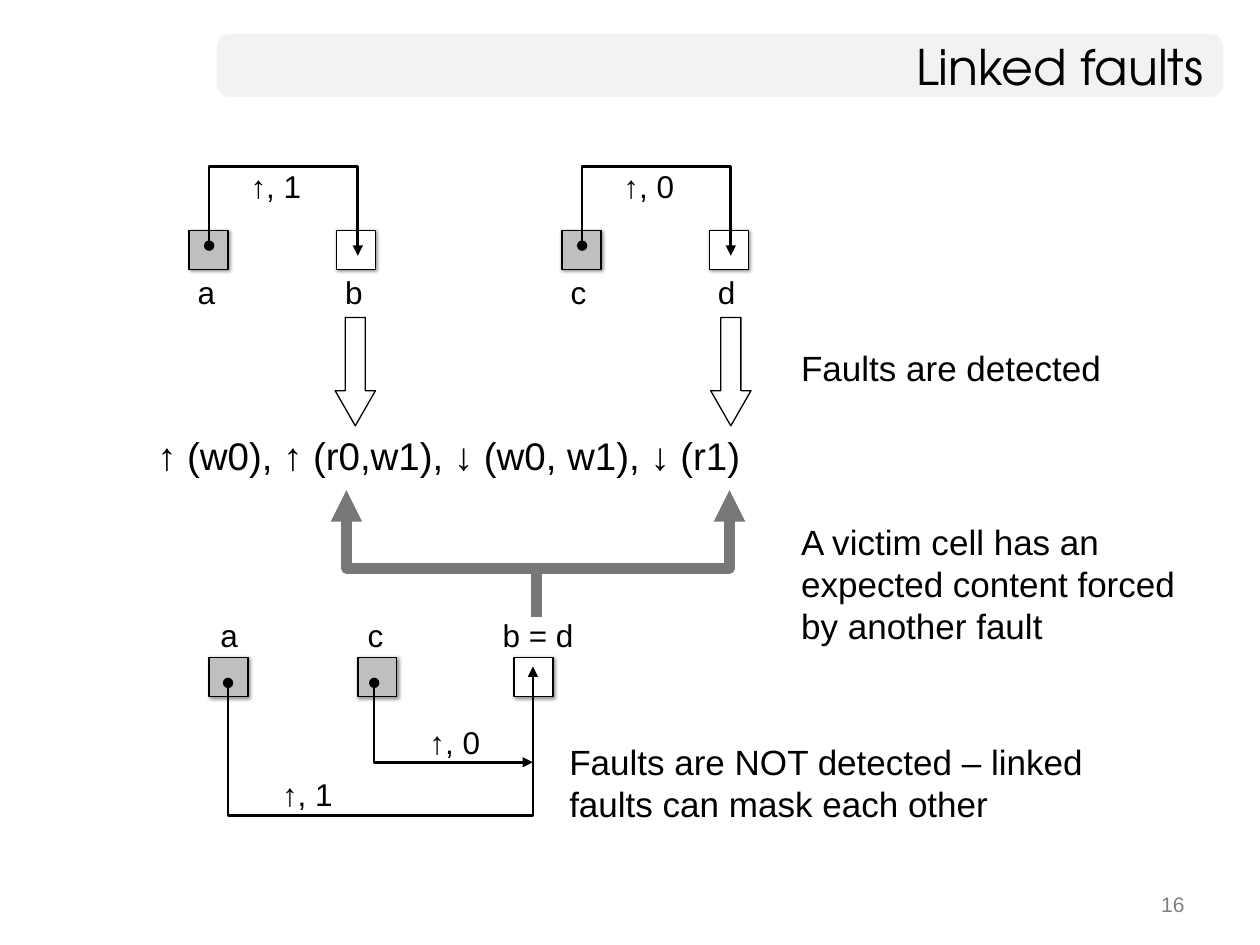
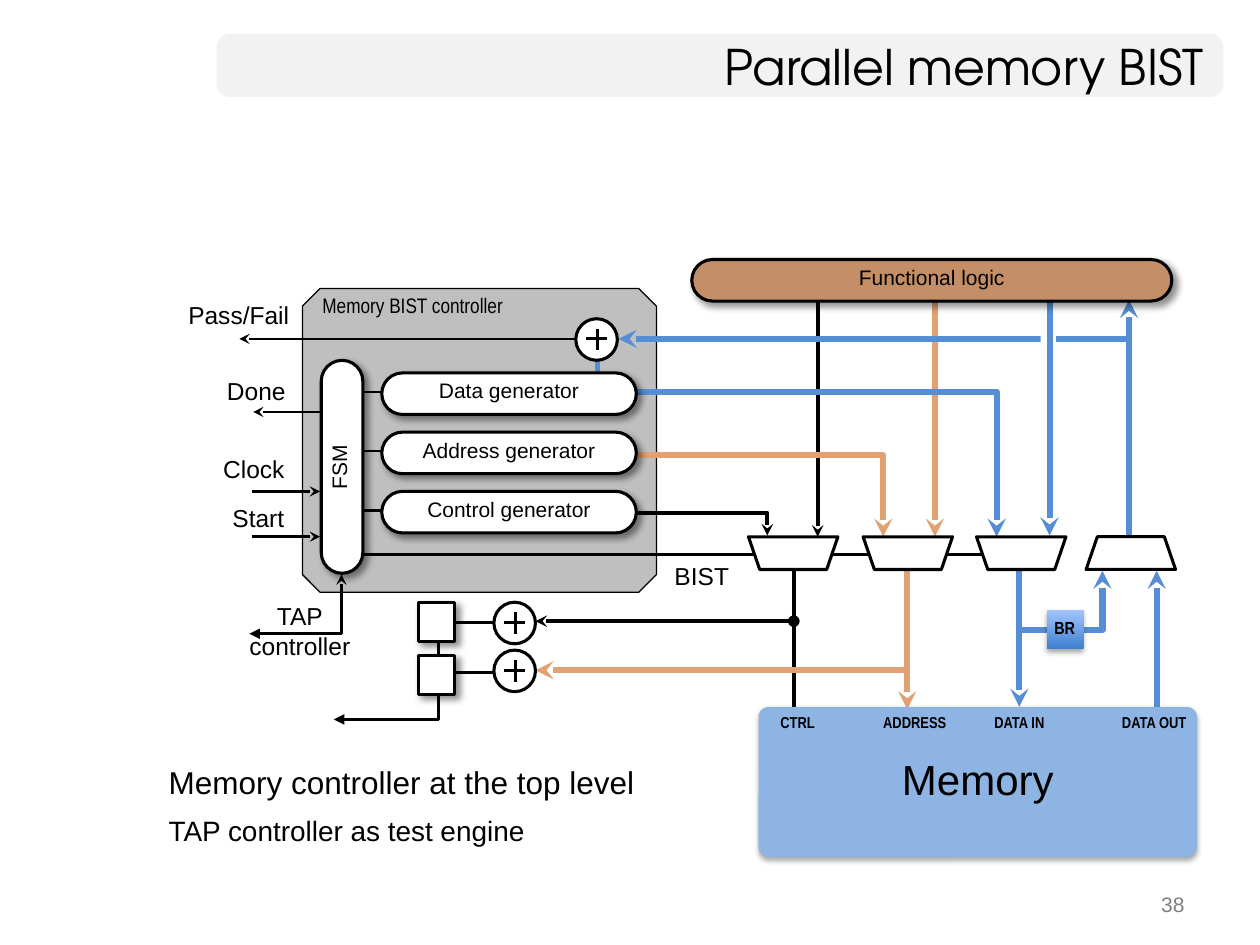
from pptx import Presentation
from pptx.dml.color import RGBColor
from pptx.enum.shapes import MSO_CONNECTOR, MSO_SHAPE
from pptx.enum.text import MSO_ANCHOR, PP_ALIGN
from pptx.oxml import parse_xml
from pptx.oxml.ns import nsdecls, qn
from pptx.util import Cm, Pt
from lxml import etree

LEFT, CENTER, RIGHT = PP_ALIGN.LEFT, PP_ALIGN.CENTER, PP_ALIGN.RIGHT
TOP, MIDDLE = MSO_ANCHOR.TOP, MSO_ANCHOR.MIDDLE
STRAIGHT = MSO_CONNECTOR.STRAIGHT
RECT, ROUND, OVAL = MSO_SHAPE.RECTANGLE, MSO_SHAPE.ROUNDED_RECTANGLE, MSO_SHAPE.OVAL
OCTAGON, TRAPEZOID, DOWN = MSO_SHAPE.OCTAGON, MSO_SHAPE.TRAPEZOID, MSO_SHAPE.DOWN_ARROW

BLACK, WHITE, GREY, BAND = "000000", "FFFFFF", "BFBFBF", "F2F2F2"
BLUE, ORANGE, BROWN, MEMORY_BLUE = "558ED5", "E1A173", "C48E66", "8EB4E3"
BR_DARK, BR_LIGHT = "3F80CE", "A4C4FF"
LINK_GREY, PAGE_GREY = "777777", "808080"
BODY, NARROW, TITLE = "Arial", "Arial Narrow", "TeX Gyre Adventor"
# Shadows: opacity %, blur pt, distance pt, angle
CELL_SHADOW, BLOCK_SHADOW, SOFT_SHADOW = (43, 2, 1, 45), (43, 4, 3, 45), (35, 3.1, 1.8, 90)

# ---- Content: linked faults (places in inches) ----
SEPARATE_FAULTS = [(1.5, "a", "b", "↑, 1"), (4.46, "c", "d", "↑, 0")]
LINKED_CELLS = [(1.66, "a", 1.65, GREY), (2.84, "c", 2.82, GREY), (4.08, "b = d", 3.89, WHITE)]
LINKED_EFFECTS = [(3.31, 5.69, "↑, 0"), (2.14, 6.1, "↑, 1")]
LINKED_WIRES = [
    [(2.97, 5.42), (2.97, 6.05), (4.23, 6.05)],
    [(1.81, 5.42), (1.81, 6.47), (4.23, 6.47), (4.23, 5.29)],
]
MARCH_TEST = [("↑", True), (" (w0), ", False), ("↑", True), (" (r0,w1), ", False),
              ("↓ ", True), ("(w0, w1), ", False), ("↓", True), (" (r1)", False)]
REMARKS = [
    (6.26, 2.7, 2.8, 0.44, "Faults are detected"),
    (4.42, 5.83, 4.87, 0.77, "Faults are NOT detected – linked faults can mask each other"),
    (6.26, 4.08, 3.24, 1.11, "A victim cell has an expected content forced by another fault"),
]

# ---- Content: parallel memory BIST ----
THIN, MEDIUM, BUS = 1.5, 2.25, 3.5
BUS_WIRES = [  # points, colour, width, end arrow, start arrow
    ([(8.96, 4.39), (8.96, 2.38)], BLUE, BUS, "stealth", None),
    ([(6.3, 4.51), (6.3, 5.63)], BLACK, MEDIUM, None, None),
    ([(7.2, 4.51), (7.2, 5.63)], ORANGE, BUS, "stealth", None),
    ([(8.09, 4.5), (8.09, 5.61)], BLUE, BUS, "stealth", None),
    ([(9.18, 5.61), (9.18, 4.53)], BLUE, BUS, "stealth", None),
    ([(7.42, 2.3), (7.42, 4.26)], ORANGE, BUS, "stealth", None),
    ([(6.49, 2.3), (6.49, 4.26)], BLACK, MEDIUM, "stealth", None),
    ([(8.96, 2.69), (4.91, 2.69)], BLUE, BUS, "stealth", None),
    ([(4.79, 4.07), (6.09, 4.07), (6.09, 4.25)], BLACK, MEDIUM, "stealth", None),
    ([(4.76, 3.61), (7.01, 3.61), (7.01, 4.26)], ORANGE, BUS, "stealth", None),
    ([(4.66, 3.11), (7.91, 3.11), (7.91, 4.26)], BLUE, BUS, "stealth", None),
    ([(4.74, 2.76), (4.74, 3.11)], BLUE, 3, None, None),
    ([(8.09, 5), (8.75, 5), (8.75, 4.53)], BLUE, BUS, "stealth", None),
    ([(6.3, 4.93), (4.25, 4.93)], BLACK, MEDIUM, "stealth", "oval"),
    ([(7.2, 5.32), (4.25, 5.32)], ORANGE, BUS, "stealth", None),
]
CONTROL_WIRES = [  # points, end arrow, start arrow
    ([(7.96, 4.4), (2.73, 4.4)], None, None),
    ([(4.57, 2.69), (1.9, 2.69)], "stealth", None),
    ([(2.54, 3.27), (2.01, 3.27)], "stealth", None),
    ([(2, 3.9), (2.54, 3.9)], "stealth", None),
    ([(2, 4.26), (2.54, 4.26)], "stealth", None),
    ([(3.48, 4.86), (3.48, 5.71), (2.65, 5.71)], "triangle", None),
    ([(4.02, 4.94), (3.57, 4.94)], None, None),
    ([(4.02, 5.34), (3.57, 5.34)], None, None),
    ([(2.71, 4.56), (2.71, 5.03), (1.98, 5.03)], "triangle", "stealth"),
]
GENERATORS = ["Data generator", "Address generator", "Control generator"]
MUXES = [(5.94, 180), (6.85, 180), (7.75, 180), (8.62, 0)]
ADDERS = [(4.57, 2.53), (3.92, 4.78), (3.92, 5.16)]
REGISTERS = [4.78, 5.2]
SIGNALS = [
    (5.25, 4.4, 0.64, 0.34, "BIST"), (1.66, 3.55, 0.71, 0.34, "Clock"),
    (1.74, 3.94, 0.62, 0.34, "Start"), (1.7, 2.93, 0.67, 0.34, "Done"),
    (1.39, 2.33, 1.01, 0.34, "Pass/Fail"), (1.87, 4.72, 1.02, 0.57, "TAP\vcontroller"),
]
MEMORY_PORTS = [(6.09, 0.48, "CTRL"), (6.91, 0.7, "ADDRESS"),
                (7.79, 0.6, "DATA IN"), (8.8, 0.72, "DATA OUT")]
NOTES = [(6.01, 18, "Memory controller at the top level"),
         (6.41, 16, "TAP controller as test engine")]


# ---- Helpers ----
def inch(value):
    return Cm(value * 2.54)


def rgb(code):
    return RGBColor.from_string(code)


def write(frame, content, size=18, font=BODY, color=BLACK, bold=False, align=LEFT,
          anchor=TOP, wrap=False, insets=(0.1, 0.05, 0.1, 0.05)):
    """Content is a string, or a list of (text, bold) runs."""
    frame.word_wrap, frame.vertical_anchor = wrap, anchor
    (frame.margin_left, frame.margin_top,
     frame.margin_right, frame.margin_bottom) = map(inch, insets)
    paragraph = frame.paragraphs[0]
    paragraph.alignment = align
    if isinstance(content, str):
        paragraph.text = content
        runs = [(run, bold) for run in paragraph.runs]
    else:
        runs = []
        for words, heavy in content:
            run = paragraph.add_run()
            run.text = words
            runs.append((run, heavy))
    for run, heavy in runs:
        run.font.name, run.font.size, run.font.bold = font, Pt(size), heavy
        run.font.color.rgb = rgb(color)


def label(slide, x, y, w, h, content, **style):
    box = slide.shapes.add_textbox(inch(x), inch(y), inch(w), inch(h))
    write(box.text_frame, content, **style)


def block(slide, kind, x, y, w, h, fill=WHITE, line=None, adj=(), shadow=None,
          rotation=0, content=None, size=12):
    shape = slide.shapes.add_shape(kind, inch(x), inch(y), inch(w), inch(h))
    shape.rotation = rotation
    for index, value in enumerate(adj):
        shape.adjustments[index] = value
    shape.fill.solid()
    shape.fill.fore_color.rgb = rgb(fill)
    if line:
        shape.line.color.rgb, shape.line.width = rgb(BLACK), Pt(line)
    else:
        shape.line.fill.background()
    shape.shadow.inherit = False
    if shadow:
        opacity, blur, distance, angle = shadow
        effects = shape._element.spPr.find(qn("a:effectLst"))
        effects.append(parse_xml(
            f'<a:outerShdw {nsdecls("a")} blurRad="{Pt(blur)}" dist="{Pt(distance)}" '
            f'dir="{angle * 60000}" rotWithShape="0"><a:srgbClr val="{BLACK}">'
            f'<a:alpha val="{opacity * 1000}"/></a:srgbClr></a:outerShdw>'))
    if content:
        write(shape.text_frame, content, size=size, align=CENTER, anchor=MIDDLE,
              wrap=True, insets=(0.1, 0.05, 0.1, 0.1))
    return shape


def wire(slide, points, color=BLACK, width=THIN, end=None, start=None):
    """A connector for two points, an open outline for more."""
    spots = [(inch(x), inch(y)) for x, y in points]
    if len(spots) == 2:
        path = slide.shapes.add_connector(STRAIGHT, *spots[0], *spots[1])
        etree.SubElement(path._element.spPr, qn("a:effectLst"))
    else:
        builder = slide.shapes.build_freeform(*spots[0])
        builder.add_line_segments(spots[1:], close=False)
        path = builder.convert_to_shape()
        path.fill.background()
        path.shadow.inherit = False
    path.line.color.rgb, path.line.width = rgb(color), Pt(width)
    line = path.line._get_or_add_ln()
    for tag, arrow in (("a:headEnd", start), ("a:tailEnd", end)):
        if arrow:
            etree.SubElement(line, qn(tag), type=arrow)


def new_slide(deck, title, number):
    slide = deck.slides.add_slide(deck.slide_layouts[6])
    block(slide, ROUND, 1.72, 0.27, 7.99, 0.5, BAND, adj=[0.208])
    label(slide, 7.17, 7, 2.33, 0.35, number, size=12, color=PAGE_GREY,
          align=RIGHT, anchor=MIDDLE, wrap=True)
    label(slide, 1.72, 0.27, 7.93, 0.5, title, size=28, font=TITLE,
          align=RIGHT, anchor=MIDDLE, wrap=True)
    return slide


def cell(slide, x, y, fill):
    block(slide, RECT, x, y, 0.31, 0.31, fill, line=0.75, shadow=CELL_SHADOW)


# ---- Slides ----
def linked_faults(deck):
    slide = new_slide(deck, "Linked faults", "16")
    # Faults on separate cells
    for x, aggressor, victim, effect in SEPARATE_FAULTS:
        cell(slide, x, 1.83, GREY)
        cell(slide, x + 1.17, 1.83, WHITE)
        wire(slide, [(x + 0.16, 1.95), (x + 0.16, 1.32), (x + 1.34, 1.32), (x + 1.34, 2.03)],
             end="triangle", start="oval")
        label(slide, x + 0.39, 1.28, 0.63, 0.4, effect)
        label(slide, x - 0.03, 2.12, 0.34, 0.4, aggressor)
        label(slide, x + 1.14, 2.12, 0.34, 0.4, victim)
    # Faults sharing one victim
    for x, name, name_x, fill in LINKED_CELLS:
        cell(slide, x, 5.22, fill)
        label(slide, name_x, 4.84, 0.76 if len(name) > 1 else 0.34, 0.4, name)
    for points in LINKED_WIRES:
        wire(slide, points, end="triangle", start="oval")
    for x, y, effect in LINKED_EFFECTS:
        label(slide, x, y, 0.63, 0.4, effect)
    # March test and the arrows to it
    label(slide, 1.15, 3.38, 5.59, 0.47, MARCH_TEST, size=22, wrap=True)
    for x in (2.66, 5.64):
        block(slide, DOWN, x, 2.52, 0.32, 0.86, line=0.75, adj=[0.872 / 0.86 * 0.86, 0.5][::-1])
    wire(slide, [(2.75, 3.89), (2.75, 4.51), (5.79, 4.51), (5.79, 3.89)],
         LINK_GREY, 6, "triangle", "triangle")
    wire(slide, [(4.26, 4.51), (4.26, 4.9)], LINK_GREY, 6)
    for x, y, w, h, remark in REMARKS:
        label(slide, x, y, w, h, remark, size=20, wrap=True)


def parallel_bist(deck):
    slide = new_slide(deck, "Parallel memory BIST", "38")
    block(slide, OCTAGON, 2.4, 2.29, 2.81, 2.41, GREY, line=0.75, adj=[0.058])
    # Wires, with a gap where two buses cross
    for points, end, start in CONTROL_WIRES:
        wire(slide, points, end=end, start=start)
    for points, color, width, end, start in BUS_WIRES:
        wire(slide, points, color, width, end, start)
    block(slide, RECT, 8.26, 2.53, 0.12, 0.33)
    wire(slide, [(8.33, 2.29), (8.33, 4.25)], BLUE, BUS, "stealth")
    # Controller blocks and functional logic
    pill = dict(line=1.75, adj=[0.5], shadow=BLOCK_SHADOW)
    for row, name in enumerate(GENERATORS):
        y = 2.96 + 0.47 * row
        wire(slide, [(2.78, y + 0.15), (3.13, y + 0.15)])
        block(slide, ROUND, 3.03, y, 2.02, 0.33, content=name, **pill)
    block(slide, ROUND, 1.87, 3.54, 1.69, 0.33, rotation=270, content="FSM", **pill)
    block(slide, ROUND, 5.49, 2.06, 3.81, 0.33, BROWN, content="Functional logic", **pill)
    # Multiplexers, registers and adders
    for x, rotation in MUXES:
        block(slide, TRAPEZOID, x, 4.26, 0.71, 0.26, line=1.75, adj=[0.343], rotation=rotation)
    for y in REGISTERS:
        block(slide, RECT, 3.32, y, 0.29, 0.31, line=1.75, shadow=BLOCK_SHADOW)
    for x, y in ADDERS:
        block(slide, OVAL, x, y, 0.33, 0.33, line=1.75)
        wire(slide, [(x + 0.17, y + 0.08), (x + 0.17, y + 0.25)], width=1.75)
        wire(slide, [(x + 0.08, y + 0.16), (x + 0.25, y + 0.16)], width=1.75)
    # Memory and bypass register
    block(slide, ROUND, 6.02, 5.61, 3.48, 1.19, MEMORY_BLUE, adj=[0.068],
          shadow=SOFT_SHADOW, content="Memory", size=24)
    for x, w, port in MEMORY_PORTS:
        label(slide, x, 5.61, w, 0.25, port, size=9, font=NARROW, bold=True, align=CENTER)
    bypass = block(slide, RECT, 8.31, 4.84, 0.29, 0.31, shadow=SOFT_SHADOW)
    bypass.fill.gradient()
    bypass.fill.gradient_angle = 90
    for stop, color in zip(bypass.fill.gradient_stops, (BR_DARK, BR_LIGHT)):
        stop.color.rgb = rgb(color)
    label(slide, 8.27, 4.85, 0.37, 0.27, "BR", size=10, font=NARROW, bold=True)
    # Captions
    for x, y, w, h, name in SIGNALS:
        label(slide, x, y, w, h, name, size=14, align=CENTER, anchor=MIDDLE)
    label(slide, 2.45, 2.27, 1.65, 0.3, "Memory BIST controller", size=12, font=NARROW,
          align=CENTER)
    for y, size, note in NOTES:
        label(slide, 1.24, y, 4.25, 0.4, note, size=size, wrap=True)


def main():
    deck = Presentation()
    deck.slide_width, deck.slide_height = inch(10), inch(7.5)
    linked_faults(deck)
    parallel_bist(deck)
    deck.save("out.pptx")


if __name__ == "__main__":
    main()
